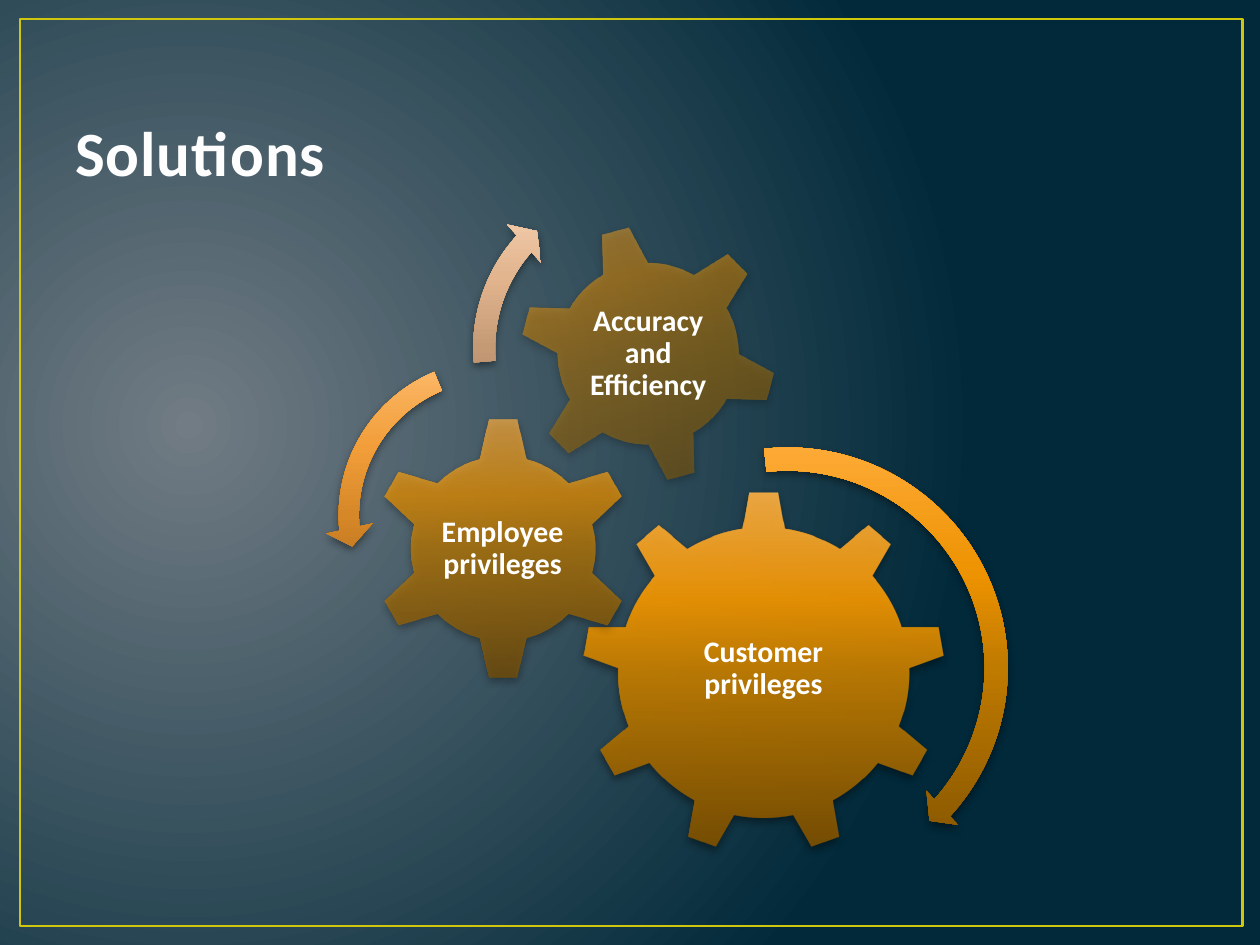
from pptx import Presentation
from pptx.dml.color import RGBColor
from pptx.enum import shapes, text
from pptx.oxml import parse_xml
from pptx.oxml.ns import nsdecls, qn
from pptx.util import Pt

theme = {
    "font": "Calibri", "title": 36, "label": 17,
    "head": "FEFEFE", "white": "FFFFFF", "frame": "CFC60D", "shade": "000000",
    "back": [(0, "717C84"), (100, "01293A")],
    "gear": ["7C4F00", "C88000", "F79900", "FFB246"],
    "amber": ["764C00", "BF7A00", "ED9200", "FFAC3B"],
    "orange": ["885415", "D68727", "F19E3A", "FFBE73"],
    "peach": ["7B5F47", "C49A75", "E2B58F", "FFDDC1"],
}
steps = [0, 50, 70, 100]
upward = '<a:lin ang="16200000" scaled="0"/>'
glow = ('<a:path path="circle"><a:fillToRect l="15000" t="50000" '
        'r="85000" b="60000"/></a:path>')


def paint(owner, stops, course, alpha=100):
    owner.fill.gradient()
    root = slide.element if owner is ground else owner.element
    old = root.find(".//" + qn("a:gradFill"))
    marks = "".join(
        f'<a:gs pos="{pos * 1000}"><a:srgbClr val="{color}">'
        f'<a:alpha val="{alpha * 1000}"/></a:srgbClr></a:gs>'
        for pos, color in stops)
    new = parse_xml(f'<a:gradFill {nsdecls("a")} rotWithShape="1">'
                    f'<a:gsLst>{marks}</a:gsLst>{course}</a:gradFill>')
    old.getparent().replace(old, new)


def write(home, box, words, size, color, anchor):
    item = home.add_textbox(*map(Pt, box))
    frame = item.text_frame
    frame.word_wrap = True
    frame.vertical_anchor = anchor
    run = frame.paragraphs[0].add_run()
    run.text = words
    run.font.name = theme["font"]
    run.font.size = Pt(size)
    run.font.bold = True
    run.font.color.rgb = RGBColor.from_string(color)
    return frame, run


deck = Presentation()
deck.slide_width, deck.slide_height = Pt(720), Pt(540)
slide = deck.slides.add_slide(deck.slide_layouts[6])
ground = slide.background
paint(ground, theme["back"], glow)

kind = shapes.MSO_SHAPE
border = slide.shapes.add_shape(kind.RECTANGLE, Pt(11.5), Pt(10.8), Pt(698.4), Pt(518.4))
border.shadow.inherit = False
border.fill.background()
border.line.color.rgb = RGBColor.from_string(theme["frame"])
border.line.width = Pt(1.5)

frame, run = write(slide.shapes, (36, 21.6, 648, 90), "Solutions",
                   theme["title"], theme["head"], text.MSO_ANCHOR.BOTTOM)
run.font._element.set("spc", "50")

parts = [
    (kind.GEAR_9, 332.6, 280.8, 207.4, 0, "gear", 90, [],
     "Customer privileges", (374.4, 329, 123.8, 106.6)),
    (kind.GEAR_6, 212.4, 238.3, 150.5, 0, "gear", 70, [],
     "Employee privileges", (249.8, 276.5, 74.9, 74.2)),
    (kind.GEAR_6, 296.6, 128.2, 147.6, 345, "gear", 50, [],
     "Accuracy and Efficiency", (329, 160.6, 82.8, 82.8)),
    (kind.CIRCULAR_ARROW, 317.5, 249.1, 265, 0, "amber", 100,
     [0.05, 2.99, 25.29, 158.35, 0.05], "", None),
    (kind.LEFT_CIRCULAR_ARROW, 185.8, 198, 193, 0, "orange", 100,
     [0.06, 4.3, 104.89, 148.38, 0.07], "", None),
    (kind.CIRCULAR_ARROW, 262.1, 95, 208.1, 0, "peach", 100,
     [0.06, 3.94, 133.14, 105.08, 0.07], "", None),
]
wheels = slide.shapes.add_group_shape().shapes
for form, left, top, side, turn, tone, alpha, bends, words, box in parts:
    item = wheels.add_shape(form, Pt(left), Pt(top), Pt(side), Pt(side))
    item.rotation = turn
    for spot, bend in enumerate(bends):
        item.adjustments[spot] = bend
    paint(item, zip(steps, theme[tone]), upward, alpha)
    item.line.fill.background()
    item.shadow.inherit = False
    item.element.spPr.find(qn("a:effectLst")).append(parse_xml(
        f'<a:outerShdw {nsdecls("a")} blurRad="{Pt(5)}" dist="{Pt(2)}" '
        f'dir="5400000" rotWithShape="0"><a:srgbClr val="{theme["shade"]}">'
        '<a:alpha val="43000"/></a:srgbClr></a:outerShdw>'))
    if words:
        frame, run = write(wheels, box, words, theme["label"], theme["white"],
                           text.MSO_ANCHOR.MIDDLE)
        frame.margin_left = frame.margin_right = Pt(1.5)
        frame.margin_top = frame.margin_bottom = Pt(1.5)
        line = frame.paragraphs[0]
        line.alignment = text.PP_ALIGN.CENTER
        line.line_spacing = 0.9

deck.save("out.pptx")
